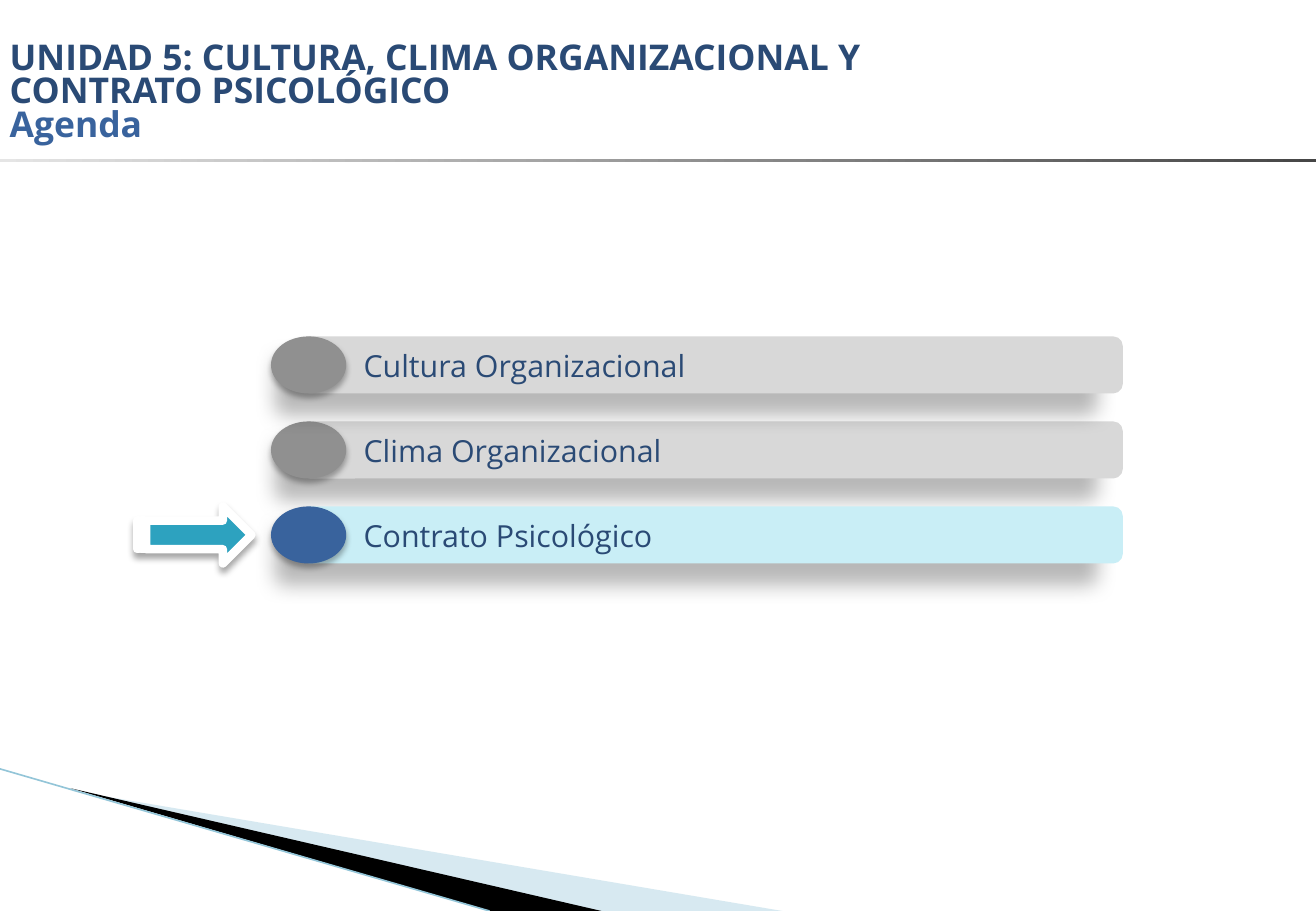
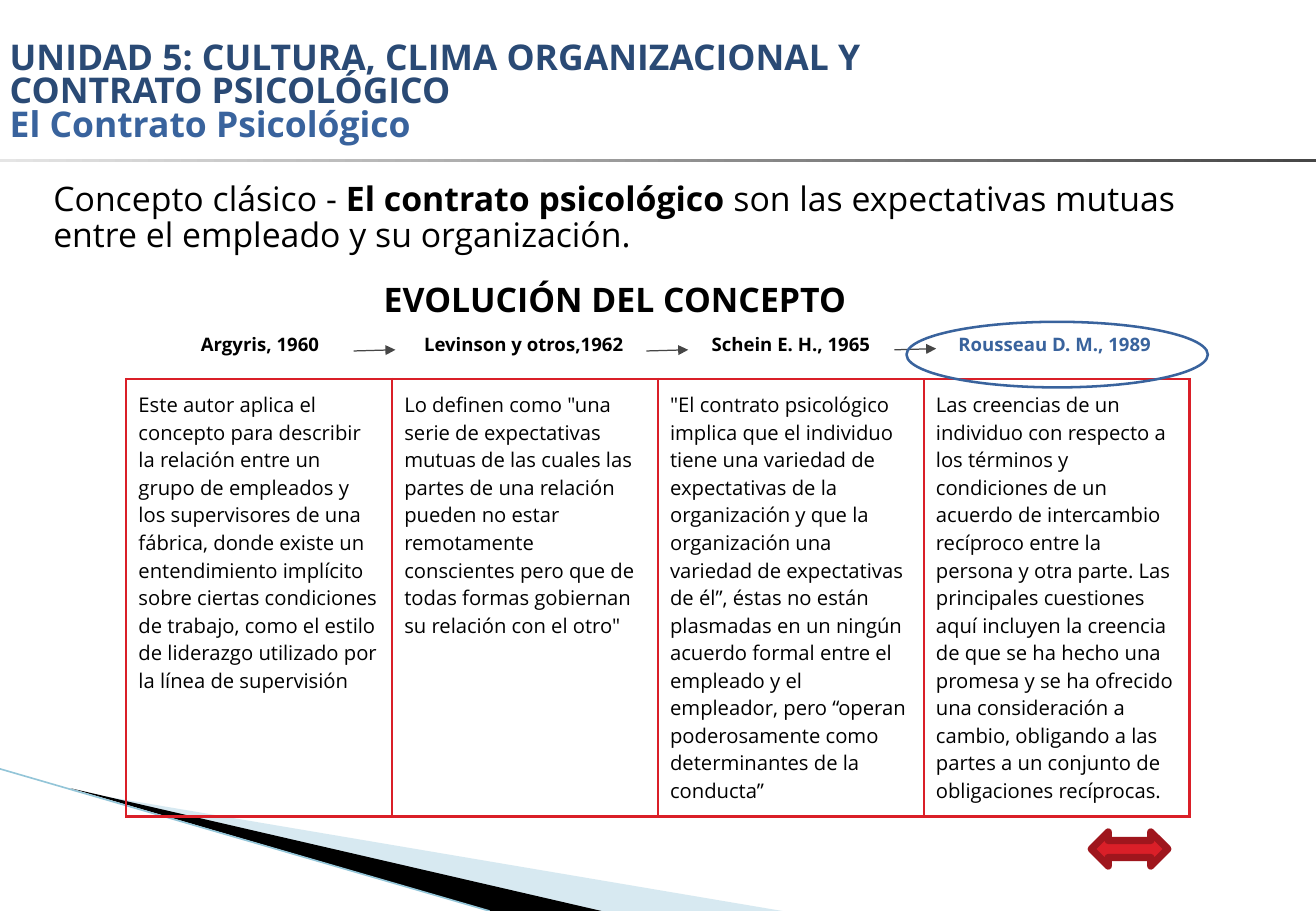
from dataclasses import dataclass

from lxml import etree
from pptx import Presentation
from pptx import util as u
from pptx.dml.color import RGBColor
from pptx.enum import shapes, text
from pptx.oxml.ns import qn

KIND = shapes.MSO_SHAPE
ALIGN = text.PP_ALIGN


@dataclass(frozen=True)
class Theme:
    font: str = "Open Sans"
    navy: str = "2A4A75"
    blue: str = "39639D"
    teal: str = "2DA2BF"
    aqua: str = "C9EEF6"
    ice: str = "9CCADC"
    sky: str = "93C5D8"
    silver: str = "D8D8D8"
    gray: str = "909090"
    pale: str = "E5E5E5"
    dark: str = "464646"
    red: str = "DA1F28"
    wine: str = "9F161D"
    black: str = "000000"
    white: str = "FFFFFF"
    title: float = 21
    lead: float = 20
    item: float = 18
    cell: float = 12
    label: float = 11
    tight: float = 0.79
    snug: float = 0.9
    pad: float = 0.1


# Shadows: opacity in %, blur and distance in points, direction in degrees
FAR = (27, 11.8, 19.7, 141)
NEAR = (31, 3.5, 2.2, 90)
SOFT = (34, 4, 3, 90)

UNIT = "UNIDAD 5: CULTURA, CLIMA ORGANIZACIONAL Y CONTRATO PSICOLÓGICO"
TOPICS = ["Cultura Organizacional", "Clima Organizacional", "Contrato Psicológico"]
LEAD = [
    ("Concepto clásico - ", False),
    ("El contrato psicológico", True),
    (" son las expectativas mutuas entre el empleado y su organización.", False),
]
AUTHORS = [
    ("Argyris, 1960", 13.11, 13.3),
    ("Levinson y otros,1962", 30.01, 19.58),
    ("Schein E. H., 1965", 50.32, 19.58),
    ("Rousseau D. M., 1989", 70.36, 19.58),
]
STEPS = [(26.87, 38.53), (49.12, 38.53), (67.96, 38.4)]
VIEWS = [
    "Este autor aplica el concepto para describir la relación entre un grupo de "
    "empleados y los supervisores de una fábrica, donde existe un entendimiento "
    "implícito sobre ciertas condiciones de trabajo, como el estilo de liderazgo "
    "utilizado por la línea de supervisión",
    'Lo definen como "una serie de expectativas mutuas de las cuales las partes de '
    "una relación pueden no estar remotamente conscientes pero que de todas formas "
    'gobiernan su relación con el otro"',
    '"El contrato psicológico implica que el individuo tiene una variedad de '
    "expectativas de la organización y que la organización una variedad de "
    "expectativas de él”, éstas no están plasmadas en un ningún acuerdo formal entre "
    "el empleado y el empleador, pero “operan poderosamente como determinantes de la "
    "conducta”",
    "Las creencias de un individuo con respecto a los términos y condiciones de un "
    "acuerdo de intercambio recíproco entre la persona y otra parte. Las principales "
    "cuestiones aquí incluyen la creencia de que se ha hecho una promesa y se ha "
    "ofrecido una consideración a cambio, obligando a las partes a un conjunto de "
    "obligaciones recíprocas.",
]


def rgb(code):
    return RGBColor.from_string(code)


def node(home, tag, **attrs):
    return etree.SubElement(home, qn(tag), {k: str(v) for k, v in attrs.items()})


class Deck:
    """Slides on a grid of 100 columns by 100 rows."""

    def __init__(self, theme):
        self.theme = theme
        self.prs = Presentation()
        self.prs.slide_width = u.Inches(10.83)
        self.prs.slide_height = u.Inches(7.5)
        self.layout = self.prs.slide_layouts[5]
        self.slide = None

    def x(self, cols):
        return round(self.prs.slide_width * cols / 100)

    def y(self, rows):
        return round(self.prs.slide_height * rows / 100)

    def area(self, x, y, w, h):
        return self.x(x), self.y(y), self.x(w), self.y(h)

    def start(self, topic):
        t = self.theme
        first = self.slide is None
        self.slide = self.prs.slides.add_slide(self.layout)
        if first:
            self.decorate()
        head = self.slide.shapes.title
        head.left, head.top, head.width, head.height = self.area(0, 0, 69.81, 17.33)
        frame = head.text_frame
        self.inset(frame, 0.08, 0.28, 0.08, 0.04)
        frame.auto_size = text.MSO_AUTO_SIZE.NONE
        frame.vertical_anchor = text.MSO_ANCHOR.MIDDLE
        frame.text = f"{UNIT}\n{topic}"
        for para, hue in zip(frame.paragraphs, (t.navy, t.blue)):
            self.style(para, t.title, hue, True, ALIGN.LEFT, t.tight)

    def decorate(self):
        """Draw the shared wedge and rule, then hand them to the layout."""
        t = self.theme
        wing = self.wedge([(5.45, 86.8), (59.46, 100), (45.6, 100)], t.ice)
        for hue in wing._element.iter(qn("a:srgbClr")):
            node(hue, "a:alpha", val=40000)
        blade = self.wedge([(5.36, 86.53), (45.7, 100), (37.2, 100)], t.black)
        edge = self.line((0, 84.4), (37.2, 100), t.sky, 0.95)
        rule = self.shape(KIND.RECTANGLE, (0, 17.47, 100, 0.27))
        rule.fill.gradient()
        rule.fill.gradient_angle = 0
        for stop, hue in zip(rule.fill.gradient_stops, (t.pale, t.dark)):
            stop.color.rgb = rgb(hue)
        for part in (wing, blade, edge, rule):
            self.layout.shapes._spTree.append(part._element)

    def inset(self, frame, left, top, right, low):
        frame.margin_left, frame.margin_top = u.Inches(left), u.Inches(top)
        frame.margin_right, frame.margin_bottom = u.Inches(right), u.Inches(low)
        frame.word_wrap = True

    def style(self, para, size, hue, bold=False, align=ALIGN.LEFT, gap=None):
        para.alignment = align
        para.line_spacing = gap
        font = para.font
        font.name, font.size, font.bold = self.theme.font, u.Pt(size), bold
        font.color.rgb = rgb(hue)

    def paint(self, shape, fill=None, line=None, width=1.0, shade=None):
        if fill:
            shape.fill.solid()
            shape.fill.fore_color.rgb = rgb(fill)
        else:
            shape.fill.background()
        if line:
            shape.line.color.rgb = rgb(line)
            shape.line.width = u.Pt(width)
        else:
            shape.line.fill.background()
        shape.shadow.inherit = False
        if shade:
            alpha, blur, dist, turn = shade
            box = shape._element.spPr.find(qn("a:effectLst"))
            cast = node(box, "a:outerShdw", blurRad=u.Pt(blur), dist=u.Pt(dist),
                        dir=turn * 60000, algn="ctr", rotWithShape=0)
            hue = node(cast, "a:srgbClr", val=self.theme.black)
            node(hue, "a:alpha", val=alpha * 1000)
        return shape

    def shape(self, kind, area, **look):
        return self.paint(self.slide.shapes.add_shape(kind, *self.area(*area)), **look)

    def wedge(self, points, fill):
        spots = [(self.x(a), self.y(b)) for a, b in points]
        pen = self.slide.shapes.build_freeform(*spots[0])
        pen.add_line_segments(spots[1:], close=True)
        return self.paint(pen.convert_to_shape(), fill)

    def line(self, start, end, hue, width, head=False):
        link = self.slide.shapes.add_connector(
            shapes.MSO_CONNECTOR.STRAIGHT,
            self.x(start[0]), self.y(start[1]), self.x(end[0]), self.y(end[1]))
        link.line.color.rgb = rgb(hue)
        link.line.width = u.Pt(width)
        props = link._element.spPr
        if head:
            node(props.find(qn("a:ln")), "a:tailEnd", type="triangle")
        node(props, "a:effectLst")
        return link

    def note(self, area, runs, size, hue, bold=False, align=ALIGN.LEFT):
        """Add a text box; runs is a string or a list of (words, bold)."""
        t = self.theme
        frame = self.slide.shapes.add_textbox(*self.area(*area)).text_frame
        self.inset(frame, *[t.pad] * 4)
        frame.auto_size = text.MSO_AUTO_SIZE.SHAPE_TO_FIT_TEXT
        para = frame.paragraphs[0]
        self.style(para, size, hue, bold, align, t.snug)
        for words, heavy in [(runs, bold)] if isinstance(runs, str) else runs:
            run = para.add_run()
            run.text = words
            if heavy != bold:
                run.font.bold = heavy

    def topic(self, row, words, active):
        """Add an agenda bar with its bullet, and an arrow if it is active."""
        t = self.theme
        top, high = 36.93 + 9.33 * row, 6.27
        bar = self.shape(KIND.ROUNDED_RECTANGLE, (22.81, top, 62.51, high),
                         fill=t.aqua if active else t.silver, shade=FAR)
        frame = bar.text_frame
        frame.word_wrap = True
        frame.vertical_anchor = text.MSO_ANCHOR.MIDDLE
        para = frame.paragraphs[0]
        para.text = words
        self.style(para, t.item, t.navy)
        para._p.get_or_add_pPr().set("indent", str(u.Inches(0.4)))
        self.shape(KIND.OVAL, (20.59, top, 5.72, high),
                   fill=t.blue if active else t.gray, shade=NEAR)
        if active:
            self.shape(KIND.STRIPED_RIGHT_ARROW, (10.43, top, 8.68, high),
                       fill=t.teal, line=t.white, width=5, shade=SOFT)

    def table(self, area, cells):
        t = self.theme
        grid = self.slide.shapes.add_table(1, len(cells), *self.area(*area)).table
        grid.first_row = grid.horz_banding = False
        for cell, words in zip(grid.rows[0].cells, cells):
            cell.text = words
            self.style(cell.text_frame.paragraphs[0], t.cell, t.black)
            cell.margin_left = cell.margin_right = u.Inches(t.pad)
            cell.margin_top = cell.margin_bottom = u.Inches(t.pad)
            props = cell._tc.get_or_add_tcPr()
            for side in "LRTB":
                edge = node(props, f"a:ln{side}", w=u.Pt(1.5))
                node(node(edge, "a:solidFill"), "a:srgbClr", val=t.red)
            cell.fill.background()


def agenda(deck):
    deck.start("Agenda")
    for row in (1, 2, 0):
        deck.topic(row, TOPICS[row], active=row == 2)


def concept(deck):
    t = deck.theme
    deck.start("El Contrato Psicológico")
    deck.table((9.6, 41.6, 80.8, 48), VIEWS)
    deck.note((28.25, 29.73, 42.47, 7.2), "EVOLUCIÓN DEL CONCEPTO", t.lead, t.black, True)
    for name, left, wide in AUTHORS:
        hue = t.blue if name == AUTHORS[-1][0] else t.black
        deck.note((left, 35.73, wide, 5.2), name, t.label, hue, True, ALIGN.CENTER)
    for left, top in STEPS:
        deck.line((left, top), (left + 3.18, top - 0.13), t.dark, 0.75, head=True)
    deck.note((3.14, 18.67, 93.35, 11.73), LEAD, t.lead, t.black)
    deck.shape(KIND.LEFT_RIGHT_ARROW, (82.92, 91.33, 5.82, 3.73),
               fill=t.red, line=t.wine, width=4.33)
    deck.shape(KIND.OVAL, (68.88, 35.33, 22.9, 7.2), line=t.blue, width=1.5)


def main():
    deck = Deck(Theme())
    agenda(deck)
    concept(deck)
    deck.prs.save("out.pptx")


if __name__ == "__main__":
    main()
